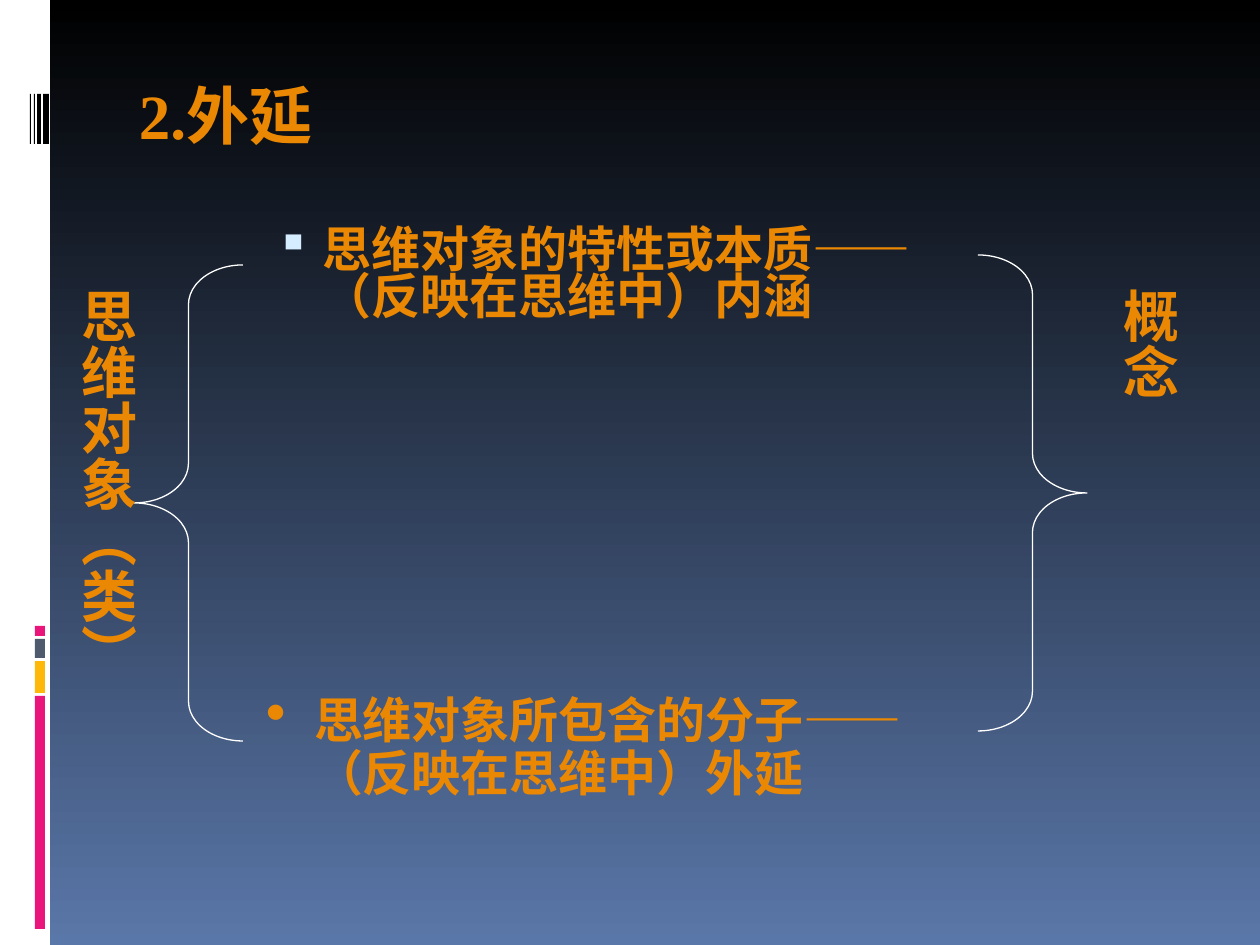
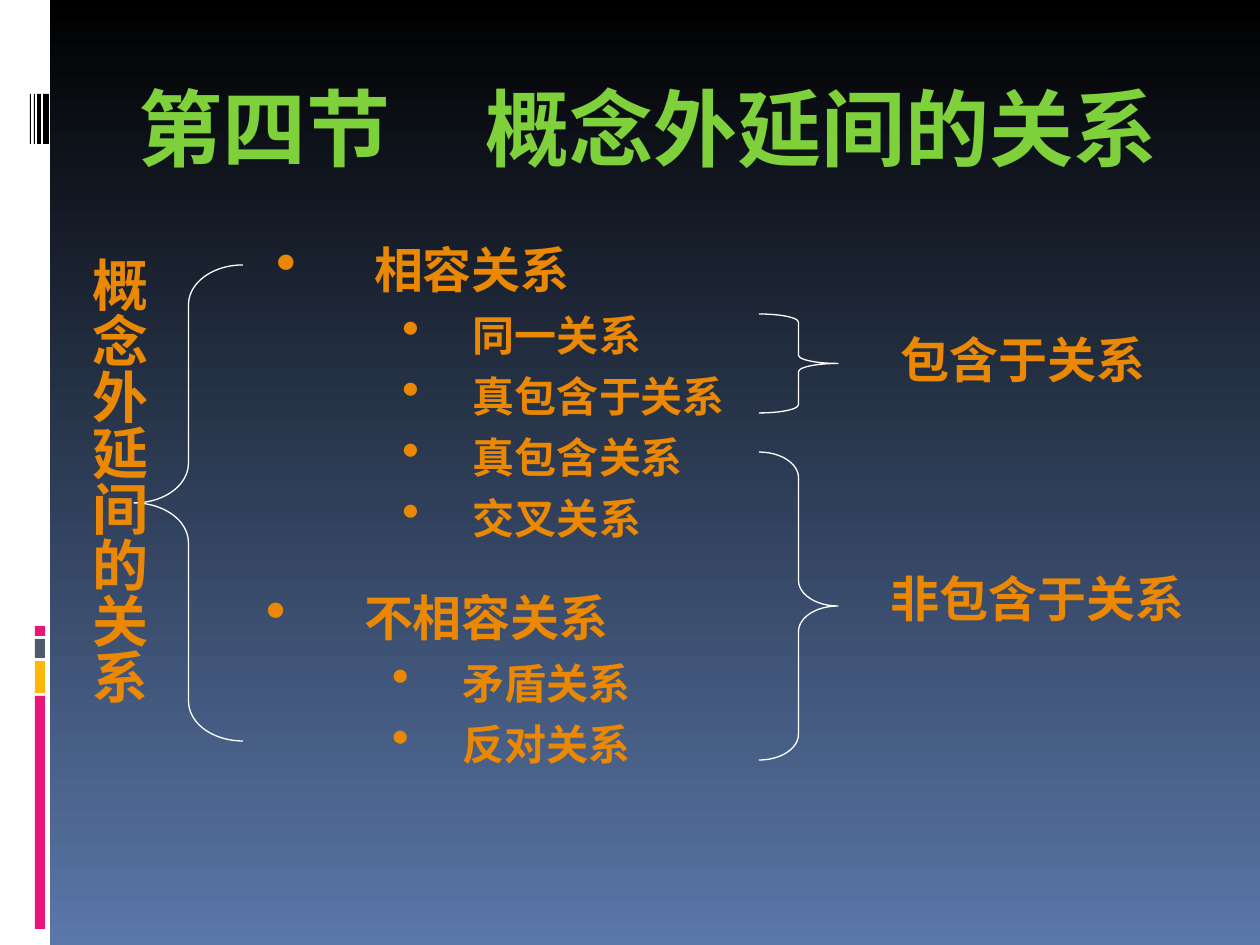
from pptx import Presentation
from pptx import util as u
from pptx.dml.color import RGBColor
from pptx.enum import shapes, text
from pptx.oxml.ns import qn
from lxml import etree

HUES = {
    "black": "000000", "blue": "5A77A9", "white": "FFFFFF", "pink": "EA157A",
    "gold": "FEB80A", "slate": "4E5B6F", "orange": "EB8803",
    "green": "7FD13B", "ice": "D6ECFF",
}
SERIF, SANS = "Times New Roman", "Cabin"
WIDE, HIGH = 1260, 945
TITLE = (126, 71, 1071, 126)
LEFT = (134, 265, 109, 476)


def px(n):
    return u.Emu(round(n * 914400 / 126))


def rgb(name):
    return RGBColor.from_string(HUES[name])


def node(root, tag, **attrs):
    item = etree.SubElement(root, qn(tag))
    for key, value in attrs.items():
        item.set(key, str(value))
    return item


def mark(par, sign, hue, size):
    props = par._p.get_or_add_pPr()
    node(node(props, "a:buClr"), "a:srgbClr", val=HUES[hue])
    node(props, "a:buSzPct", val=size * 1000)
    node(props, "a:buChar", char=sign)


def write(par, words, size=28, face=SERIF, hue="orange", align=None, gap=0,
          space=None, hang=None, level=0, bullet=None, stop=None):
    props = par._p.get_or_add_pPr()
    if hang:
        props.set("marL", str(px(hang[0])))
        props.set("indent", str(px(-hang[1])))
    if bullet:
        mark(par, *bullet)
    if stop:
        node(node(props, "a:tabLst"), "a:tab", pos=px(stop), algn="l")
    par.level = level
    par.alignment = align
    par.space_before = u.Pt(gap)
    if space:
        par.line_spacing = space
    run = par.add_run()
    run.text = words
    font = run.font
    font.size, font.name, font.bold = u.Pt(size), face, True
    font.color.rgb = rgb(hue)


def frame(slide, box, sides=(13, 6), grow=False):
    body = slide.shapes.add_textbox(*map(px, box)).text_frame
    body.word_wrap = True
    body.margin_left = body.margin_right = px(sides[0])
    body.margin_top = body.margin_bottom = px(sides[1])
    fit = text.MSO_AUTO_SIZE
    body.auto_size = fit.SHAPE_TO_FIT_TEXT if grow else fit.NONE
    return body


def title(slide, words, **style):
    write(frame(slide, TITLE).paragraphs[0], words, **style)


def label(slide, box, words):
    write(frame(slide, box, grow=True).paragraphs[0], words, face=SANS)


def column(slide, box, words):
    body = frame(slide, box, sides=(6, 13), grow=True)
    body._txBody.bodyPr.set("vert", "eaVert")
    write(body.paragraphs[0], words, size=32, face=SANS,
          align=text.PP_ALIGN.CENTER)


def point(slide, box, words, **style):
    write(frame(slide, box).paragraphs[0], words, **style)


def tree(slide, box, head, items):
    body = frame(slide, box)
    dot = ("•", "orange", 120)
    write(body.paragraphs[0], head, hang=(98, 98), bullet=dot)
    for item in items:
        write(body.add_paragraph(), item, size=24, gap=6, level=1,
              hang=(197, 71), bullet=dot)


def brace(slide, kind, box):
    item = slide.shapes.add_shape(kind, *map(px, box))
    item.shadow.inherit = False
    item.adjustments[0] = box[3] / 12 / min(box[2:])
    item.fill.background()
    item.line.color.rgb = rgb("white")
    item.line.width = u.Pt(0.75)


def block(slide, hue, *box):
    item = slide.shapes.add_shape(shapes.MSO_SHAPE.RECTANGLE, *map(px, box))
    item.shadow.inherit = False
    item.fill.solid()
    item.fill.fore_color.rgb = rgb(hue)
    item.line.fill.background()


def band(slide):
    block(slide, "white", 0, 0, 50, HIGH)
    for hue, top, tall in (("pink", 696, 233), ("gold", 661, 32),
                           ("slate", 639, 19), ("pink", 626, 10)):
        block(slide, hue, 35, top, 10, tall)
    for left, wide in ((43, 6), (37, 4), (34, 1), (30, 1)):
        block(slide, "black", left, 94, wide, 50)


def start(deck):
    slide = deck.slides.add_slide(deck.slide_layouts[6])
    fill = slide.background.fill
    fill.gradient()
    fill.gradient_angle = 270
    for stop, hue in zip(fill.gradient_stops, ("black", "blue")):
        stop.color.rgb = rgb(hue)
    band(slide)
    return slide


def extent(deck):
    slide = start(deck)
    title(slide, "2.外延", size=36)
    point(slide, (253, 224, 714, 139),
          "思维对象的特性或本质——（反映在思维中）内涵",
          space=0.8, hang=(57, 47), bullet=("▪", "ice", 95))
    brace(slide, shapes.MSO_SHAPE.LEFT_BRACE, LEFT)
    column(slide, (55, 275, 92, 446), "思维对象（类）")
    point(slide, (253, 690, 725, 178),
          "思维对象所包含的分子—— （反映在思维中）外延",
          space=0.9, hang=(48, 48), bullet=("•", "orange", 120))
    brace(slide, shapes.MSO_SHAPE.RIGHT_BRACE, (978, 255, 109, 476))
    column(slide, (1097, 275, 92, 446), "概念")


def links(deck):
    slide = start(deck)
    brace(slide, shapes.MSO_SHAPE.LEFT_BRACE, LEFT)
    column(slide, (66, 244, 92, 525), "概念外延间的关系")
    title(slide, "第四节\t概念外延间的关系", size=48, hue="green", stop=347)
    tree(slide, (263, 234, 774, 301), "相容关系",
         ("同一关系", "真包含于关系", "真包含关系", "交叉关系"))
    tree(slide, (253, 582, 774, 301), "不相容关系", ("矛盾关系", "反对关系"))
    label(slide, (888, 324, 312, 72), "包含于关系")
    brace(slide, shapes.MSO_SHAPE.RIGHT_BRACE, (759, 314, 79, 99))
    label(slide, (878, 562, 382, 72), "非包含于关系")
    brace(slide, shapes.MSO_SHAPE.RIGHT_BRACE, (759, 452, 79, 308))


def main():
    deck = Presentation()
    deck.slide_width, deck.slide_height = px(WIDE), px(HIGH)
    extent(deck)
    links(deck)
    deck.save("out.pptx")


if __name__ == "__main__":
    main()
